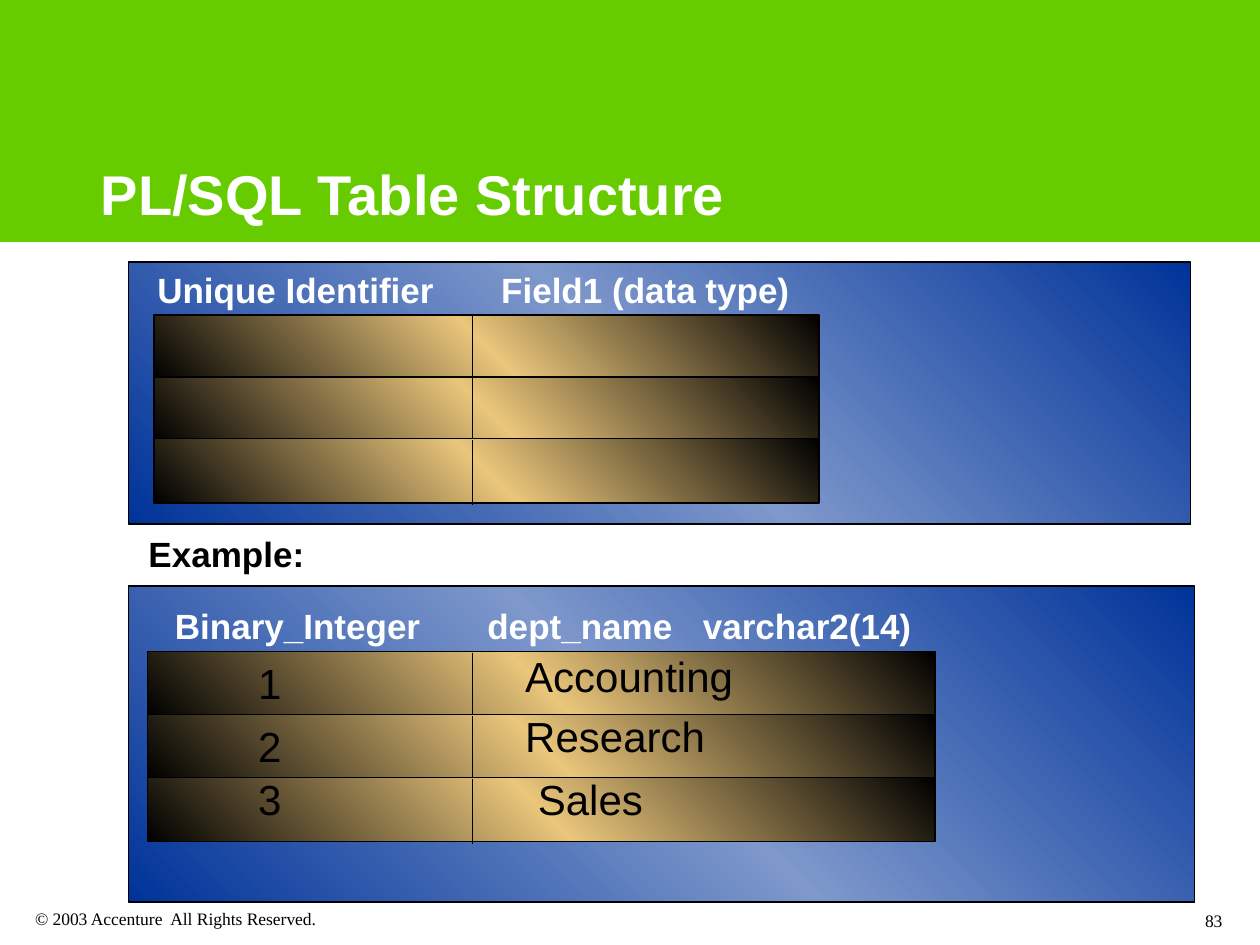
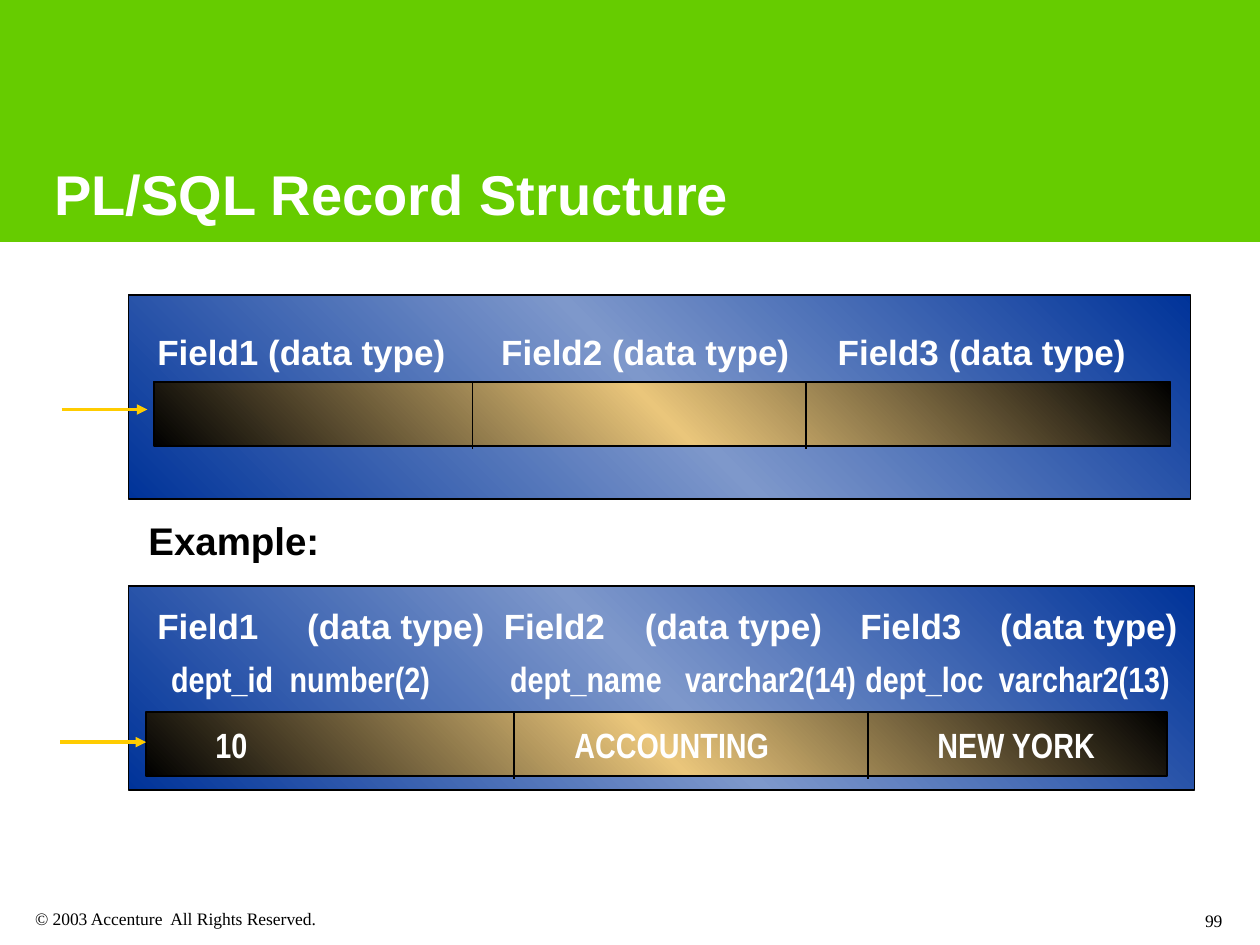
import pptx
import pptx.util
import pptx.dml.color
import pptx.enum.shapes
import pptx.enum.text
import pptx.oxml
import pptx.oxml.ns
from lxml import etree

Inches, Pt = pptx.util.Inches, pptx.util.Pt
qn = pptx.oxml.ns.qn
ALIGN = pptx.enum.text.PP_ALIGN
ANCHOR = pptx.enum.text.MSO_ANCHOR

GREEN, WHITE, BLACK, YELLOW = "66CC00", "FFFFFF", "000000", "FFCC00"
BLUE_BLEND = ("003399", "7E98CB", "003399")
GOLD_BLEND = ("000000", "EAC67B", "000000")
SANS, NARROW, SERIF = "Arial", "Arial Narrow", "Times New Roman"
ROW_HEIGHT = 0.51


def color(value):
    return pptx.dml.color.RGBColor.from_string(value)


# Text
def format_text(shape, text, size, font=SANS, ink=WHITE, bold=False, align=ALIGN.LEFT,
                anchor=ANCHOR.TOP, spacing=None, stops=(), wrap=True):
    frame = shape.text_frame
    frame.text = text
    frame.word_wrap = wrap
    frame.vertical_anchor = anchor
    paragraph = frame.paragraphs[0]
    if stops:
        tabs = etree.SubElement(paragraph._p.get_or_add_pPr(), qn("a:tabLst"))
        for stop in stops:
            etree.SubElement(tabs, qn("a:tab"), pos=str(Inches(stop)), algn="l")
    paragraph.alignment = align
    if spacing:
        paragraph.line_spacing = spacing
    for run in paragraph.runs:
        run.font.name, run.font.size, run.font.bold = font, Pt(size), bold
        run.font.color.rgb = color(ink)


def add_text(slide, box, text, size, **style):
    shape = slide.shapes.add_textbox(*map(Inches, box))
    format_text(shape, text, size, **style)


def add_field_line(slide, left, top, width, fields, stops, font=SANS):
    """One line of bold labels, the later ones at tab stops."""
    add_text(slide, (left, top, width, 0.43), "\t".join(fields), 20,
             font=font, bold=True, stops=stops)


# Shapes and lines
def add_box(slide, box, blend):
    shape = slide.shapes.add_shape(pptx.enum.shapes.MSO_SHAPE.RECTANGLE, *map(Inches, box))
    shape.shadow.inherit = False
    shape.fill.gradient()
    shape.fill.gradient_angle = 225
    stop_list = shape._element.spPr.find(".//" + qn("a:gsLst"))
    for stop in list(stop_list):
        stop_list.remove(stop)
    for position, value in zip((0, 50000, 100000), blend):
        stop = etree.SubElement(stop_list, qn("a:gs"), pos=str(position))
        etree.SubElement(stop, qn("a:srgbClr"), val=value)
    shape.line.color.rgb = color(BLACK)
    shape.line.width = Pt(1)
    return shape


def add_line(slide, start, end, ink=BLACK, width=1, arrow=False):
    line = slide.shapes.add_connector(pptx.enum.shapes.MSO_CONNECTOR.STRAIGHT,
                                      *map(Inches, (*start, *end)))
    line.line.color.rgb = color(ink)
    line.line.width = Pt(width)
    properties = line._element.spPr
    if arrow:
        etree.SubElement(properties.find(qn("a:ln")), qn("a:tailEnd"), type="triangle")
    etree.SubElement(properties, qn("a:effectLst"))


def add_rows(slide, left, top, width, dividers, count=1, pitch=0.5):
    """Stacked gold rows; dividers are measured from the left edge."""
    rows = []
    for index in range(count):
        row_top = top + index * pitch
        rows.append(add_box(slide, (left, row_top, width, ROW_HEIGHT), GOLD_BLEND))
        for divider in dividers:
            x = left + divider
            add_line(slide, (x, row_top + 0.01), (x, row_top + 0.53))
    return rows


def add_row_arrow(slide, tip, y):
    add_line(slide, (tip - 0.68, y), (tip, y), YELLOW, 2, arrow=True)


# Shared slide frame: band, title, footer
def add_framed_slide(presentation, title, title_left, number):
    slide = presentation.slides.add_slide(presentation.slide_layouts[5])
    band = slide.shapes.add_shape(pptx.enum.shapes.MSO_SHAPE.RECTANGLE,
                                  0, 0, Inches(10), Inches(1.92))
    band.shadow.inherit = False
    band.fill.solid()
    band.fill.fore_color.rgb = color(GREEN)
    band.line.fill.background()
    slide.shapes._spTree.insert(2, band._element)

    heading = slide.shapes.title
    heading.left, heading.top = Inches(title_left), Inches(1.08)
    heading.width, heading.height = Inches(6.89), Inches(0.77)
    format_text(heading, title, 32, bold=True, anchor=ANCHOR.BOTTOM)

    footer = dict(font=SERIF, ink=BLACK, anchor=ANCHOR.BOTTOM)
    add_text(slide, (0.18, 6.92, 7.76, 0.5), "© 2003 Accenture  All Rights Reserved.", 10, **footer)
    add_text(slide, (7.95, 7.14, 1.85, 0.3), str(number), 10,
             align=ALIGN.RIGHT, spacing=0.8, **footer)
    return slide


def add_example_heading(slide, top, size):
    add_text(slide, (1.08, top, 7.58, 0.43), "Example:", size,
             ink=BLACK, bold=True, spacing=0.95)


# PL/SQL table regions
def add_table_structure(slide, left, top, width, height):
    add_box(slide, (left, top, width, height), BLUE_BLEND)
    add_field_line(slide, left + 0.13, top, 5.6,
                   ("Unique Identifier", "Field1 (data type)"), (2.73,))
    add_rows(slide, left + 0.2, top + 0.42, 5.28, (2.53,), count=3, pitch=0.49)


def add_table_example(slide, left, top, width, height):
    add_box(slide, (left, top, width, height), BLUE_BLEND)
    add_field_line(slide, left + 0.27, top + 0.1, 7.5,
                   ("Binary_Integer", "dept_name", "varchar2(14)"), (2.48, 4.19))
    add_rows(slide, left + 0.15, top + 0.52, 6.25, (2.58,), count=3)
    entries = (("1", 0.6, "Accounting", 3.05, 0.54),
               ("2", 1.1, "Research", 3.05, 1.02),
               ("3", 1.52, "Sales", 3.15, 1.52))
    style = dict(ink=BLACK, spacing=0.8, wrap=False)
    for key, key_top, name, name_left, name_top in entries:
        add_text(slide, (left + 0.93, top + key_top, 0.38, 0.42), key, 24, **style)
        add_text(slide, (left + name_left, top + name_top, 1.85, 0.42), name, 24, **style)


# PL/SQL record regions
def add_record_structure(slide, left, top, width, height):
    add_box(slide, (left, top, width, height), BLUE_BLEND)
    add_rows(slide, left + 0.2, top + 0.69, 8.07, (2.53, 5.18))
    fields = [f"Field{index} (data type)" for index in (1, 2, 3)]
    add_field_line(slide, left + 0.13, top + 0.23, 8.2, fields, (2.73, 5.4))
    add_row_arrow(slide, left + 0.15, top + 0.91)


def add_record_example(slide, left, top, width, height):
    add_box(slide, (left, top, width, height), BLUE_BLEND)
    row, = add_rows(slide, left + 0.14, top + 1, 8.1, (2.92, 5.73))
    format_text(row, "\t".join(("10", "ACCOUNTING", "NEW YORK")), 20, font=NARROW,
                bold=True, anchor=ANCHOR.MIDDLE, stops=(2.85, 5.73))
    row.text_frame.margin_left = Inches(0.55)
    fields = [part for index in (1, 2, 3) for part in (f"Field{index}", "(data type)")]
    add_field_line(slide, left + 0.13, top + 0.1, 8.4, fields,
                   (1.19, 2.75, 3.87, 5.58, 6.69))
    columns = ("dept_id", "number(2)", "dept_name", "varchar2(14)", "dept_loc", "varchar2(13)")
    add_field_line(slide, left + 0.24, top + 0.52, 8.2, columns,
                   (0.94, 2.69, 4.08, 5.51, 6.57), font=NARROW)
    add_row_arrow(slide, left + 0.14, top + 1.24)


def add_table_slide(presentation):
    slide = add_framed_slide(presentation, "PL/SQL Table Structure", 0.7, 83)
    add_table_structure(slide, 1.02, 2.08, 8.43, 2.08)
    add_example_heading(slide, 4.2, 20)
    add_table_example(slide, 1.02, 4.65, 8.46, 2.51)


def add_record_slide(presentation):
    slide = add_framed_slide(presentation, "PL/SQL Record Structure", 0.33, 99)
    add_record_structure(slide, 1.02, 2.34, 8.43, 1.62)
    add_example_heading(slide, 4.08, 22)
    add_record_example(slide, 1.02, 4.65, 8.46, 1.62)


def main():
    presentation = pptx.Presentation()
    presentation.slide_width, presentation.slide_height = Inches(10), Inches(7.5)
    add_table_slide(presentation)
    add_record_slide(presentation)
    presentation.save("out.pptx")


if __name__ == "__main__":
    main()
